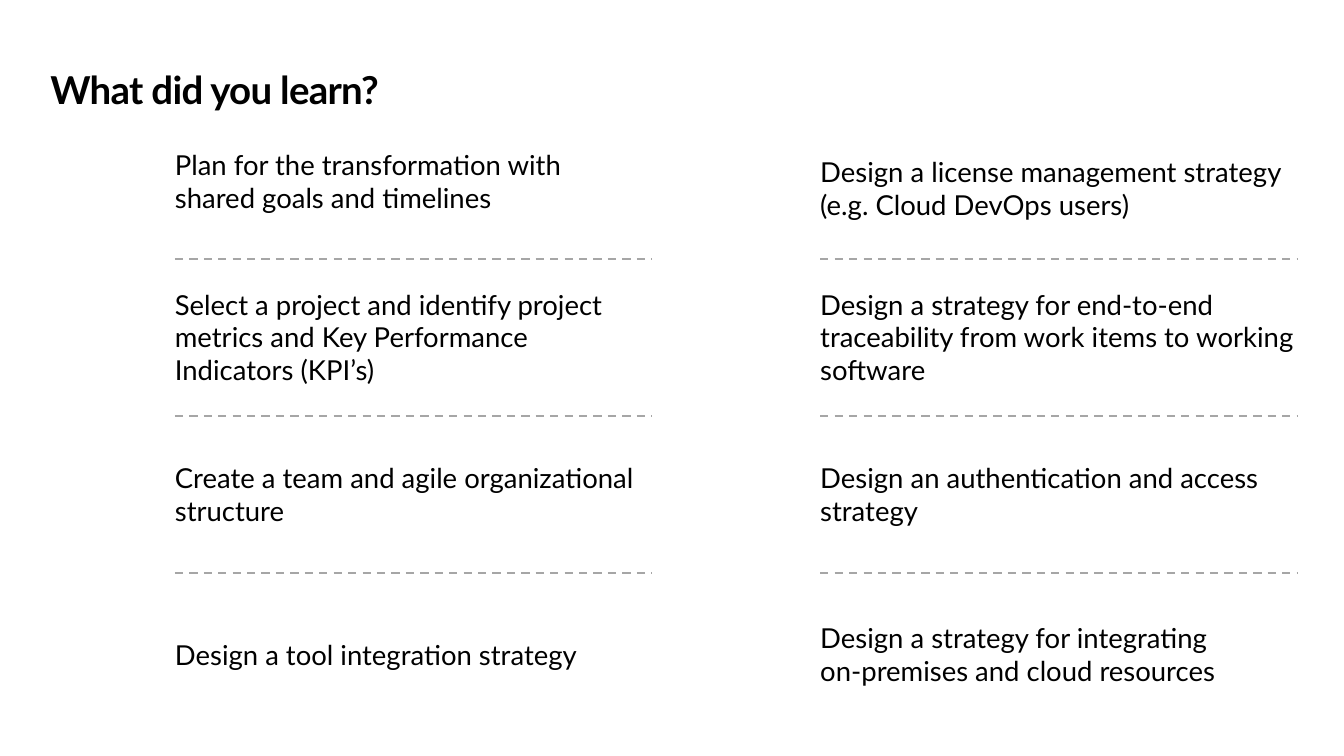
from dataclasses import dataclass

from lxml.etree import SubElement
from pptx import Presentation
from pptx.dml.color import RGBColor
from pptx.enum.dml import MSO_LINE
from pptx.enum.shapes import MSO_CONNECTOR
from pptx.enum.text import MSO_ANCHOR, MSO_AUTO_SIZE, PP_ALIGN
from pptx.oxml.ns import qn
from pptx.util import Inches, Pt

TITLE = "What did you learn?"

# Each lesson: text, number of lines, vertical centre, width of the text
LESSON_WIDTH = 4.83
LESSONS = [
    [
        ("Plan for the transformation with shared goals and timelines", 2, 1.83, 4.75),
        ("Select a project and identify project metrics and Key Performance "
         "Indicators (KPI’s)", 3, 3.41, LESSON_WIDTH),
        ("Create a team and agile organizational structure", 2, 5, LESSON_WIDTH),
        ("Design a tool integration strategy", 1, 6.62, LESSON_WIDTH),
    ],
    [
        ("Design a license management strategy (e.g. Cloud DevOps users)",
         2, 1.9, LESSON_WIDTH),
        ("Design a strategy for end-to-end traceability from work items to working "
         "software", 3, 3.41, LESSON_WIDTH),
        ("Design an authentication and access strategy", 2, 5, LESSON_WIDTH),
        ("Design a strategy for integrating\non-premises and cloud resources",
         2, 6.62, LESSON_WIDTH),
    ],
]

SLIDE_WIDTH, SLIDE_HEIGHT = 13.6, 7.65
COLUMN_LEFT, COLUMN_PITCH = 1.77, 6.53
RULE_TOP, ROW_PITCH = 2.62, 1.59
LINE_HEIGHT = 0.34


@dataclass(frozen=True)
class Theme:
    font: str = "Lato"
    text: RGBColor = RGBColor(0, 0, 0)
    rule: RGBColor = RGBColor(0xA6, 0xA6, 0xA6)
    title_size: int = 28
    lesson_size: int = 20
    rule_width: float = 1.5


THEME = Theme()


def write_text(shape, text, *, size, bold=False, anchor=MSO_ANCHOR.TOP,
               line_spacing=None, tracking=None):
    """Fill a shape with one paragraph; tracking is in hundredths of a point."""
    frame = shape.text_frame
    frame.word_wrap = True
    frame.auto_size = MSO_AUTO_SIZE.NONE
    frame.vertical_anchor = anchor
    frame.margin_left = frame.margin_right = frame.margin_top = frame.margin_bottom = 0
    paragraph = frame.paragraphs[0]
    paragraph.alignment = PP_ALIGN.LEFT
    if line_spacing:
        paragraph.line_spacing = Pt(line_spacing)
    for index, line in enumerate(text.split("\n")):
        if index:
            paragraph.add_line_break()
        run = paragraph.add_run()
        run.text = line
        run.font.name = THEME.font
        run.font.size = Pt(size)
        run.font.bold = bold
        run.font.color.rgb = THEME.text
        if tracking:
            run.font._element.set("spc", str(tracking))


def add_title(slide):
    title = slide.shapes.title
    title.left, title.top = Inches(0.51), Inches(0.69)
    title.width, title.height = Inches(12.61), Inches(0.45)
    write_text(title, TITLE, size=THEME.title_size, bold=True,
               line_spacing=32, tracking=-50)


def add_lesson(slide, left, text, lines, centre, width):
    height = lines * LINE_HEIGHT
    box = slide.shapes.add_textbox(Inches(left), Inches(centre - height / 2),
                                   Inches(width), Inches(height))
    write_text(box, text, size=THEME.lesson_size, anchor=MSO_ANCHOR.MIDDLE)


def add_rule(slide, left, top):
    rule = slide.shapes.add_connector(MSO_CONNECTOR.STRAIGHT, Inches(left), Inches(top),
                                      Inches(left + LESSON_WIDTH), Inches(top))
    rule.line.color.rgb = THEME.rule
    rule.line.width = Pt(THEME.rule_width)
    rule.line.dash_style = MSO_LINE.DASH
    SubElement(rule._element.spPr, qn("a:effectLst"))


def main():
    presentation = Presentation()
    presentation.slide_width = Inches(SLIDE_WIDTH)
    presentation.slide_height = Inches(SLIDE_HEIGHT)
    slide = presentation.slides.add_slide(presentation.slide_layouts[5])
    add_title(slide)
    for column, lessons in enumerate(LESSONS):
        left = COLUMN_LEFT + column * COLUMN_PITCH
        for row, lesson in enumerate(lessons):
            if row:
                add_rule(slide, left, RULE_TOP + (row - 1) * ROW_PITCH)
            add_lesson(slide, left, *lesson)
    presentation.save("out.pptx")


if __name__ == "__main__":
    main()
